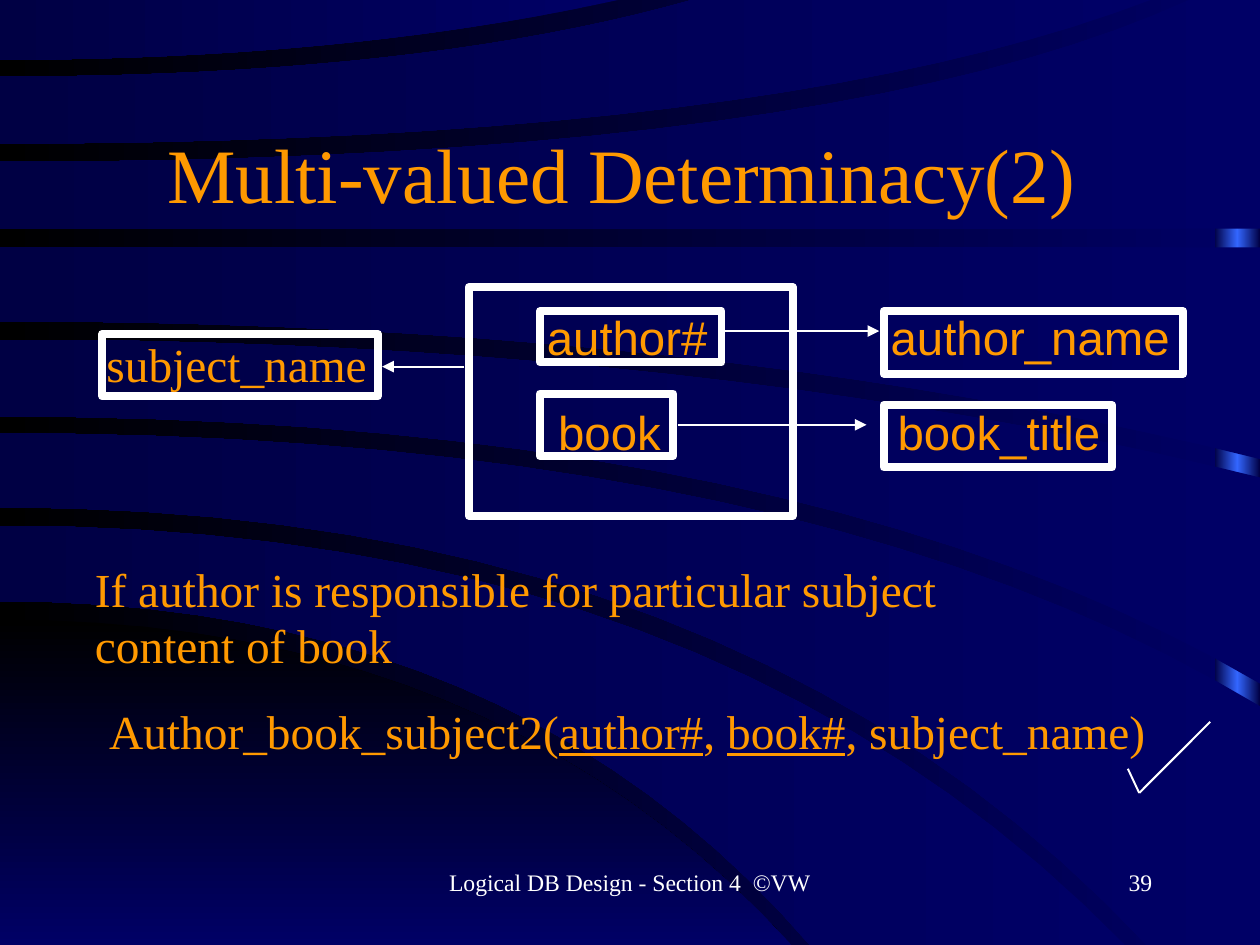
from copy import deepcopy
from itertools import pairwise

from lxml.etree import SubElement
from pptx import Presentation
from pptx.dml.color import RGBColor
from pptx.enum.shapes import MSO_CONNECTOR as CONN, MSO_SHAPE as SHAPE
from pptx.enum.text import MSO_ANCHOR as ANCHOR, MSO_AUTO_SIZE as FIT, PP_ALIGN as ALIGN
from pptx.oxml.ns import qn
from pptx.util import Inches, Pt

BLACK = RGBColor(0x00, 0x00, 0x00)
NAVY = RGBColor(0x00, 0x00, 0x66)
DEEP = RGBColor(0x00, 0x00, 0x44)
BLUE = RGBColor(0x33, 0x66, 0xFF)
ORANGE = RGBColor(0xFF, 0x99, 0x00)
WHITE = RGBColor(0xFF, 0xFF, 0xFF)
SERIF, SANS = "Times New Roman", "Arial"
W, H = 8.87, 6.65
STEPS = 20

# An edge leaves the left side level at y, bends at x = bend and ends at (x, y):
# (start y, bend, end x, end y). A sweep is an upper and a lower edge.
WEDGE = (4.36, 3.49, 5.57, H), (H, 3, 5.57, H)
SWEEPS = [
    ((3.7, 5.04, 7.92, H), (4.23, 3.62, 5.7, H)),
    ((3.05, 5.68, W, 4.97), (3.57, 5.2, 8.07, H)),
    ((2.39, 4.97, W, 3.36), (2.93, 5.67, W, 4.81)),
    ((1.74, 5, W, 1.74), (2.26, 5, W, 3.23)),
    ((1.14, 5.88, 8.37, 0), (1.61, 5, W, 1.61)),
    ((0.54, 2.97, 4.87, 0), (1.01, 5.45, 8.1, 0)),
    ((0, 2, 4.35, 0), (0.42, 2.43, 4.35, 0)),
]


def place(sp, box):
    """Set the position and size of a shape in inches."""
    sp.left, sp.top, sp.width, sp.height = map(Inches, box)


def gradient(fill, first, last, angle=180):
    """Give a fill a two-colour linear gradient."""
    fill.gradient()
    fill.gradient_angle = angle
    for stop, color in zip(fill.gradient_stops, (first, last)):
        stop.color.rgb = color


def set_text(sp, *parts, size=24, font=SERIF, color=ORANGE, align=ALIGN.LEFT,
             anchor=ANCHOR.TOP, insets=(0.1, 0.05, 0.1, 0.05), spacing=None):
    """Fill a shape with one paragraph; every second part is underlined."""
    tf = sp.text_frame
    tf.word_wrap, tf.auto_size, tf.vertical_anchor = True, FIT.NONE, anchor
    tf.margin_left, tf.margin_top, tf.margin_right, tf.margin_bottom = map(Inches, insets)
    p = tf.paragraphs[0]
    p.alignment, p.line_spacing = align, spacing
    for i, part in enumerate(parts):
        r = p.add_run()
        r.text = part
        r.font.size, r.font.name, r.font.color.rgb = Pt(size), font, color
        if i % 2:
            r.font.underline = True


def add_text(s, box, *parts, **fmt):
    """Add a text box."""
    set_text(s.shapes.add_textbox(*map(Inches, box)), *parts, **fmt)


def add_box(s, x, y, w, h):
    """Add an unfilled rectangle with a thick white outline."""
    sp = s.shapes.add_shape(SHAPE.RECTANGLE, *map(Inches, (x, y, w, h)))
    sp.shadow.inherit = False
    sp.fill.background()
    sp.line.color.rgb, sp.line.width = WHITE, Pt(4)
    return sp


def add_line(s, start, end, arrow=False):
    """Add a thin white line, with an arrowhead at its end if wanted."""
    c = s.shapes.add_connector(CONN.STRAIGHT, *map(Inches, (*start, *end)))
    c.line.color.rgb, c.line.width = WHITE, Pt(1)
    if arrow:
        SubElement(c.line._get_or_add_ln(), qn("a:tailEnd"), type="triangle")
    SubElement(c._element.spPr, qn("a:effectLst"))


def edge_points(y0, bend, x1, y1):
    """Return points along a quadratic curve that starts level at the left."""
    ts = [i / STEPS for i in range(STEPS + 1)]
    return [(2 * t * (1 - t) * bend + t * t * x1, y0 + t * t * (y1 - y0)) for t in ts]


def add_sweep(s, x, y, edges, first, last, angle=180):
    """Add the area between two edges with a gradient fill."""
    upper, lower = (edge_points(*e) for e in edges)
    near, far = sorted((upper[-1], lower[-1]))
    points = [*upper, (far[0], near[1]), *reversed(lower)]
    (x0, y0), *rest = [(Inches(x + px), Inches(y + py)) for px, py in points]
    fb = s.shapes.build_freeform(x0, y0)
    fb.add_line_segments(rest)
    sp = fb.convert_to_shape()
    sp.shadow.inherit = False
    sp.line.fill.background()
    gradient(sp.fill, first, last, angle)


def backdrop(s, x, y, w, h):
    """Draw the dark background, the glowing right edge and the sweeps."""
    gradient(s.background.fill, NAVY, BLACK)
    glow = s.shapes.add_shape(SHAPE.RECTANGLE, *map(Inches, (x + w - 0.32, y, 0.32, h)))
    glow.shadow.inherit = False
    glow.line.fill.background()
    gradient(glow.fill, BLUE, DEEP)
    stops = glow._element.spPr.find(".//" + qn("a:gsLst"))
    stops.insert(0, deepcopy(stops[1]))
    for i, stop in enumerate(stops):
        stop.set("pos", str(i * 50000))
    add_sweep(s, x, y, WEDGE, BLACK, NAVY, 270)
    for edges in SWEEPS:
        add_sweep(s, x, y, edges, NAVY, DEEP)


def title(s, box):
    """Place the title above the backdrop."""
    sp = s.shapes.title
    s.shapes._spTree.append(sp._element)
    place(sp, box)
    set_text(sp, "Multi-valued Determinacy(2)", size=39, align=ALIGN.CENTER,
             anchor=ANCHOR.MIDDLE)


def diagram(s, x, y):
    """Draw the determinacy diagram from its top left corner."""
    add_box(s, x + 2.58, y, 2.28, 1.61)
    nodes = [  # text, box, left and top inset, font, line spacing
        ("author#", (3.08, 0.17, 1.28, 0.36), (0.05, 0), SANS, 0.97),
        ("book", (3.08, 0.75, 0.94, 0.44), (0.13, 0.09), SANS, 0.97),
        ("author_name", (5.5, 0.17, 2.11, 0.44), (0.05, 0), SANS, 0.97),
        ("book_title", (5.5, 0.83, 1.61, 0.44), (0.1, 0.01), SANS, 0.97),
        ("subject_name", (0, 0.33, 1.94, 0.44), (0.03, 0.01), SERIF, None),
    ]
    for text, (dx, dy, w, h), inset, font, spacing in nodes:
        set_text(add_box(s, x + dx, y + dy, w, h), text, font=font,
                 insets=(*inset, 0, 0), spacing=spacing)
    for x1, x2, dy in [(4.38, 5.47, 0.31), (4.05, 5.38, 0.97), (2.55, 1.97, 0.56)]:
        add_line(s, (x + x1, y + dy), (x + x2, y + dy), arrow=True)


def conclusion(s, x, y):
    """Write the rule and the resulting relation with its check mark."""
    add_text(s, (x, y, 7.03, 0.9),
             "If author is responsible for particular subject content of book")
    add_text(s, (x + 0.1, y + 1, 7.6, 0.5),
             "Author_book_subject2(", "author#", ", ", "book#", ", subject_name)")
    tick = [(7.37, 1.52), (7.45, 1.69), (7.95, 1.19)]
    for start, end in pairwise((x + dx, y + dy) for dx, dy in tick):
        add_line(s, start, end)


def footer(s, x, y):
    """Write the footer and the slide number."""
    fmt = dict(size=12, color=WHITE)
    add_text(s, (x, y, 2.81, 0.44), "Logical DB Design - Section 4  ©VW",
             align=ALIGN.CENTER, **fmt)
    add_text(s, (x + 3.33, y, 1.85, 0.44), "39", align=ALIGN.RIGHT, **fmt)


prs = Presentation()
prs.slide_width, prs.slide_height = Inches(W), Inches(H)
s = prs.slides.add_slide(prs.slide_layouts[5])
backdrop(s, 0, 0, W, H)
title(s, (0.7, 0.82, 7.35, 0.79))
diagram(s, 0.72, 2.02)
conclusion(s, 0.57, 3.89)
footer(s, 3.03, 6.06)
prs.save("out.pptx")
